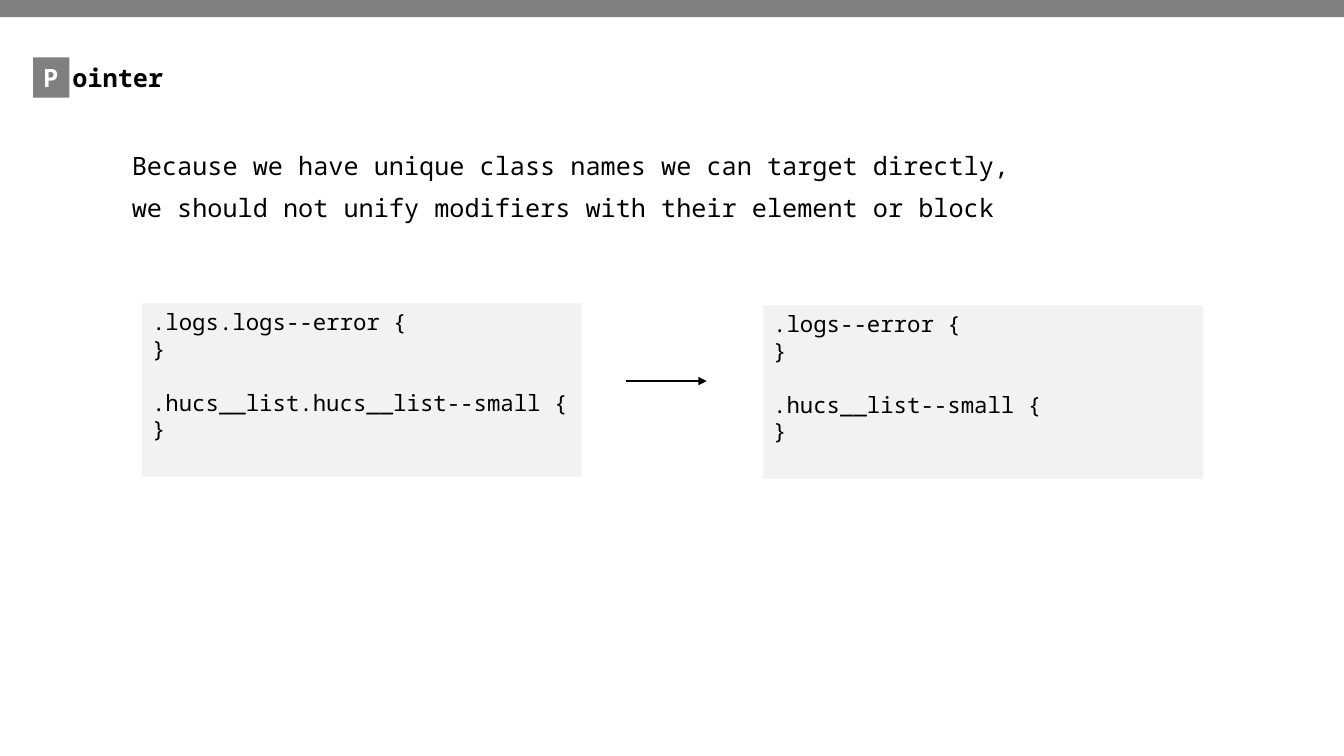
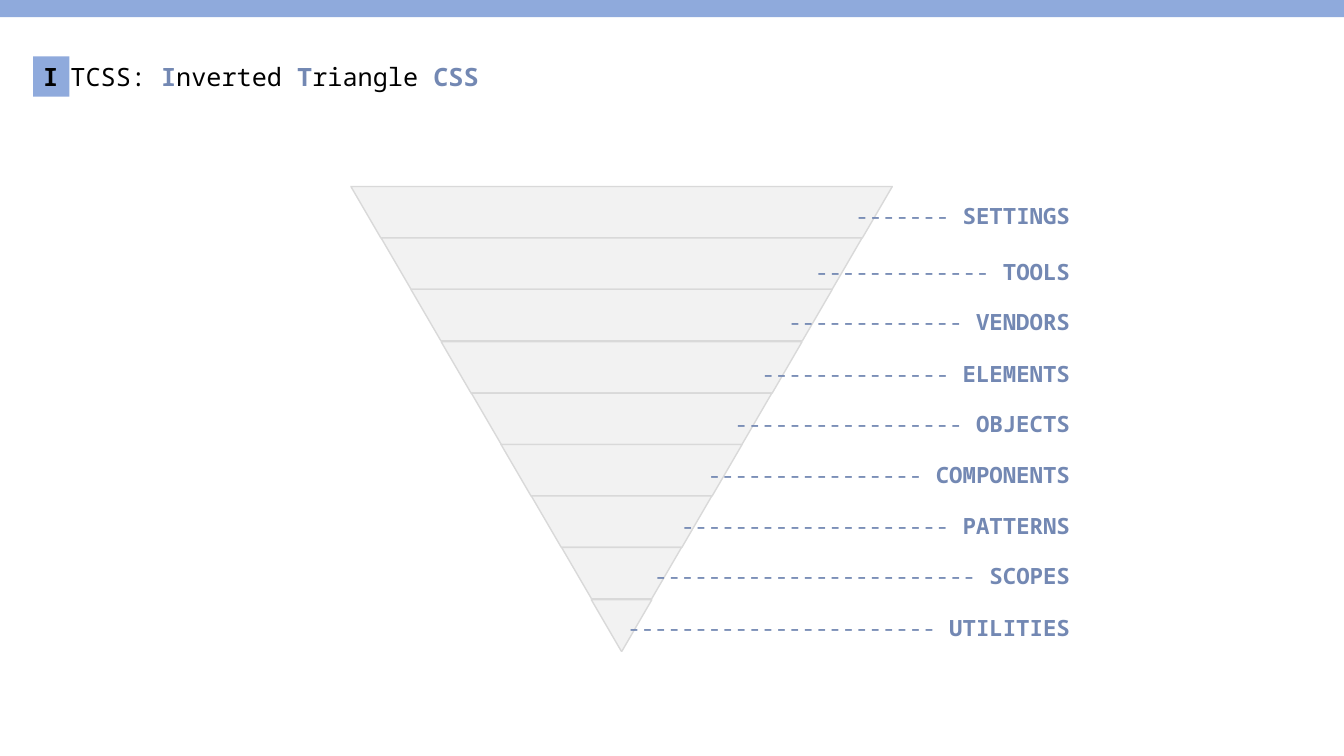
from pptx import Presentation
from pptx.dml.color import RGBColor
from pptx.enum.shapes import MSO_CONNECTOR, MSO_SHAPE
from pptx.enum.text import MSO_ANCHOR, PP_ALIGN
from pptx.oxml.ns import qn
from pptx.util import Pt
from lxml import etree

RECT, TRAPEZE = MSO_SHAPE.RECTANGLE, MSO_SHAPE.TRAPEZOID
STRAIGHT = MSO_CONNECTOR.STRAIGHT
TOP = MSO_ANCHOR.TOP
LEFT, RIGHT = PP_ALIGN.LEFT, PP_ALIGN.RIGHT

BLACK = RGBColor(0x00, 0x00, 0x00)
WHITE = RGBColor(0xFF, 0xFF, 0xFF)
GREY = RGBColor(0x80, 0x80, 0x80)
PALE = RGBColor(0xF2, 0xF2, 0xF2)
EDGE = RGBColor(0xD9, 0xD9, 0xD9)
BLUE = RGBColor(0x8F, 0xAA, 0xDC)
SLATE = RGBColor(0x73, 0x88, 0xB3)

FONT = "Noto Sans Mono"
SCALE = 9144
WIDE, HIGH = 1333, 750

LAYERS = ["SETTINGS", "TOOLS", "VENDORS", "ELEMENTS", "OBJECTS",
          "COMPONENTS", "PATTERNS", "SCOPES", "UTILITIES"]


def px(*sizes):
    return [round(size * SCALE) for size in sizes]


def put(item, values):
    for key, value in values.items():
        setattr(item, key, value)


def write(shape, lines, size, wrap=True, **form):
    frame = shape.text_frame
    put(frame, {"word_wrap": wrap, "vertical_anchor": TOP})
    for i, line in enumerate(lines):
        para = frame.add_paragraph() if i else frame.paragraphs[0]
        put(para, {"alignment": LEFT, **form})
        for words, color, bold in line:
            run = para.add_run()
            run.text = words
            put(run.font, {"name": FONT, "size": Pt(size), "bold": bold})
            run.font.color.rgb = color
    return frame.paragraphs


def block(slide, box, fill, edge=None, kind=RECT):
    shape = slide.shapes.add_shape(kind, *px(*box))
    shape.shadow.inherit = False
    shape.fill.solid()
    shape.fill.fore_color.rgb = fill
    if edge is None:
        shape.line.fill.background()
    else:
        shape.line.color.rgb = edge
        shape.line.width = Pt(1)
    return shape


def label(slide, box, lines, size, **form):
    return write(slide.shapes.add_textbox(*px(*box)), lines, size, **form)


def arrow(slide, left, right, y):
    line = slide.shapes.add_connector(STRAIGHT, *px(left, y, right, y))
    line.line.color.rgb = BLACK
    line.line.width = Pt(1.75)
    etree.SubElement(line.line._get_or_add_ln(), qn("a:tailEnd"), type="triangle")
    etree.SubElement(line._element.spPr, qn("a:effectLst"))


def header(slide, fill, first, rest, top, left, width):
    block(slide, (0, 0, WIDE, 17), fill)
    write(block(slide, (33, top, 36, 40), fill), [[first]], 18, wrap=False)
    label(slide, (left, top, width, 40), [rest], 18, wrap=False)


def code(slide, left, top, rules):
    lines = [[(text, BLACK, False)] for rule in rules for text in (rule + " {", "}")]
    paras = write(block(slide, (left, top, 436, 172), PALE), lines, 16)
    for para in paras[2::2]:
        para.space_before = Pt(19)


def pointer(slide):
    header(slide, GREY, ("P", WHITE, True), [("ointer", BLACK, True)], 57, 62, 114)
    lines = ["Because we have unique class names we can target directly,",
             "we should not unify modifiers with their element or block"]
    label(slide, (121, 148, 1200, 85), [[(text, BLACK, False)] for text in lines], 18,
          line_spacing=0.9, space_before=Pt(10))
    code(slide, 141, 301, [".logs.logs--error", ".hucs__list.hucs__list--small"])
    code(slide, 757, 303, [".logs--error", ".hucs__list--small"])
    arrow(slide, 621, 701, 378)


def funnel(slide):
    count = len(LAYERS)
    for i in range(count):
        width = round(537 * (count - i) / count)
        box = (348 + (537 - width) / 2, round(185 + 51.2 * i), width, 51)
        layer = block(slide, box, PALE, EDGE, TRAPEZE)
        layer.adjustments[0] = 0.582
        layer.rotation = 180


def legend(slide):
    tops = [196] + [round(251 + 50.4 * i) for i in range(len(LAYERS) - 1)]
    spans = [16, *range(19, 34, 2)]
    for name, top, span in zip(LAYERS, tops, spans):
        line = [("-" * (span - len(name) - 1), SLATE, False), (" " + name, SLATE, True)]
        label(slide, (590, top, 481, 37), [line], 16, alignment=RIGHT)


def layers(slide):
    funnel(slide)
    title = [("TCSS: ", BLACK, False), ("I", SLATE, True), ("nverted ", BLACK, False),
             ("T", SLATE, True), ("riangle ", BLACK, False), ("CSS", SLATE, True)]
    header(slide, BLUE, ("I", BLACK, True), title, 56, 60, 427)
    legend(slide)


def main():
    deck = Presentation()
    deck.slide_width, deck.slide_height = px(WIDE, HIGH)
    for draw in (pointer, layers):
        draw(deck.slides.add_slide(deck.slide_layouts[6]))
    deck.save("out.pptx")


if __name__ == "__main__":
    main()
